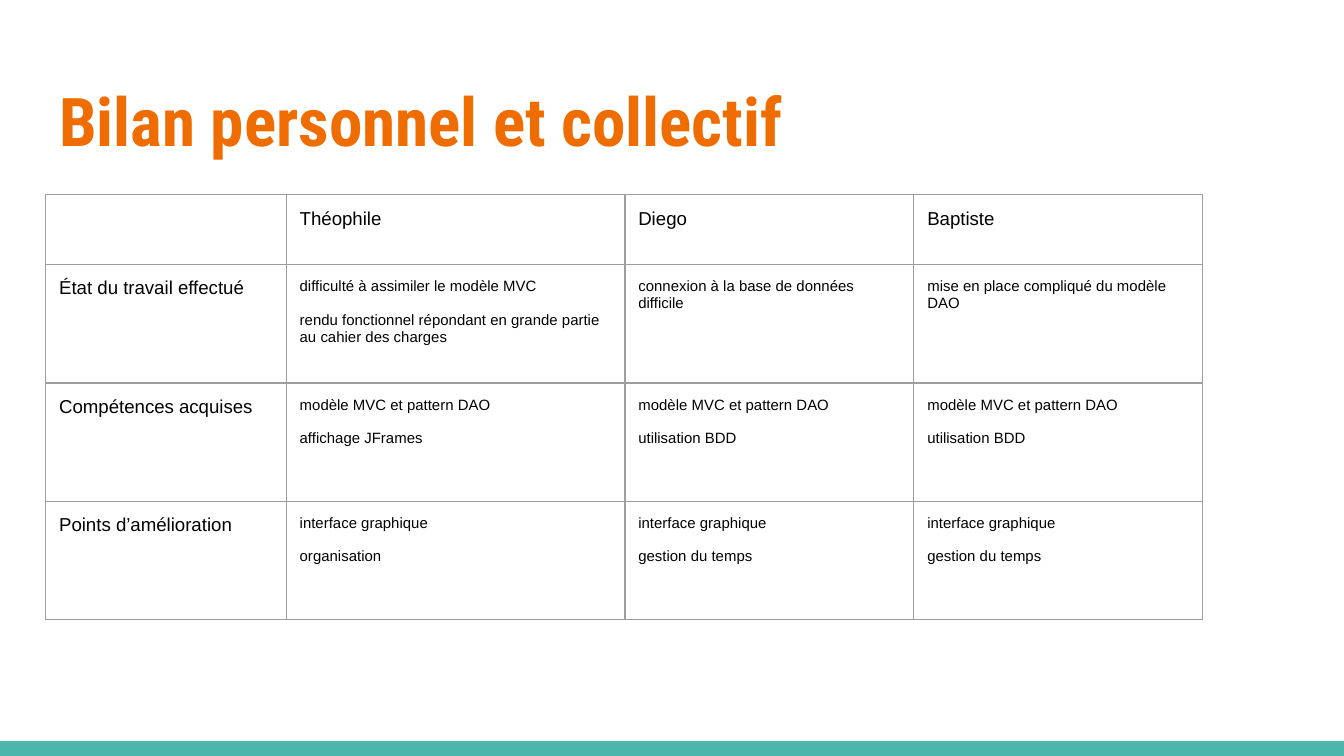
from lxml import etree
from pptx import Presentation
from pptx.dml.color import RGBColor
from pptx.enum.shapes import MSO_SHAPE
from pptx.enum.text import MSO_ANCHOR, PP_ALIGN
from pptx.oxml.ns import qn
from pptx.util import Inches, Pt

RECTANGLE = MSO_SHAPE.RECTANGLE
TOP, LEFT = MSO_ANCHOR.TOP, PP_ALIGN.LEFT
ORANGE = RGBColor(0xEF, 0x6C, 0x00)
TEAL = RGBColor(0x4D, 0xB6, 0xAC)
GREY = RGBColor(0x9E, 0x9E, 0x9E)
BLACK = RGBColor(0, 0, 0)

# Content: each cell is a list of paragraphs
TITLE = "Bilan personnel et collectif"
NAMES = ["Théophile", "Diego", "Baptiste"]
TOPICS = [
    ("État du travail effectué", [
        ["difficulté à assimiler le modèle MVC",
         "rendu fonctionnel répondant en grande partie au cahier des charges"],
        ["connexion à la base de données difficile"],
        ["mise en place compliqué du modèle DAO"],
    ]),
    ("Compétences acquises", [
        ["modèle MVC et pattern DAO", "affichage JFrames"],
        ["modèle MVC et pattern DAO", "utilisation BDD"],
        ["modèle MVC et pattern DAO", "utilisation BDD"],
    ]),
    ("Points d’amélioration", [
        ["interface graphique", "organisation"],
        ["interface graphique", "gestion du temps"],
        ["interface graphique", "gestion du temps"],
    ]),
]
COLUMN_WIDTHS = [1.79, 2.52, 2.15, 2.15]
ROW_HEIGHTS = [0.52] + [0.88] * len(TOPICS)
INSET = Inches(0.1)
SLIDE_WIDTH = Inches(10)
SLIDE_HEIGHT = SLIDE_WIDTH * 9 // 16
BAND_HEIGHT = Inches(0.11)


def set_insets(target):
    target.margin_left = target.margin_right = INSET
    target.margin_top = target.margin_bottom = INSET


def format_font(font, name, size, color, bold=False):
    font.name, font.size, font.bold = name, Pt(size), bold
    font.color.rgb = color


def add_borders(cell):
    properties = cell._tc.get_or_add_tcPr()
    for position, side in enumerate(("a:lnL", "a:lnR", "a:lnT", "a:lnB")):
        line = etree.Element(qn(side), w=str(Pt(0.75)))
        fill = etree.SubElement(line, qn("a:solidFill"))
        etree.SubElement(fill, qn("a:srgbClr"), val=str(GREY))
        properties.insert(position, line)


def fill_cell(cell, lines, size):
    cell.fill.background()
    set_insets(cell)
    cell.vertical_anchor = TOP
    cell.text_frame.text = "\n".join(lines)
    for index, paragraph in enumerate(cell.text_frame.paragraphs):
        paragraph.space_before = Pt(9 if index else 0)
        for run in paragraph.runs:
            format_font(run.font, "Arial", size, BLACK)
    add_borders(cell)


presentation = Presentation()
presentation.slide_width, presentation.slide_height = SLIDE_WIDTH, SLIDE_HEIGHT
slide = presentation.slides.add_slide(presentation.slide_layouts[5])

# Bottom band
band = slide.shapes.add_shape(
    RECTANGLE, 0, SLIDE_HEIGHT - BAND_HEIGHT, SLIDE_WIDTH, BAND_HEIGHT)
band.shadow.inherit = False
band.fill.solid()
band.fill.fore_color.rgb = TEAL
band.line.fill.background()

# Title
title = slide.shapes.title
title.left, title.top = Inches(0.34), Inches(0.49)
title.width, title.height = Inches(9.32), Inches(0.77)
title.text_frame.text = TITLE
title.text_frame.vertical_anchor = TOP
set_insets(title.text_frame)
heading = title.text_frame.paragraphs[0]
heading.alignment = LEFT
format_font(heading.runs[0].font, "Roboto Condensed", 36, ORANGE, True)

# Review table: names across, topics down
rows = [[[]] + [[name] for name in NAMES]]
rows += [[[topic]] + answers for topic, answers in TOPICS]
table = slide.shapes.add_table(
    len(rows), len(COLUMN_WIDTHS), Inches(0.34), Inches(1.45),
    Inches(sum(COLUMN_WIDTHS)), Inches(sum(ROW_HEIGHTS))).table
table.first_row = table.horz_banding = False
for column, width in zip(table.columns, COLUMN_WIDTHS):
    column.width = Inches(width)
for row_index, row in enumerate(rows):
    table.rows[row_index].height = Inches(ROW_HEIGHTS[row_index])
    for column_index, lines in enumerate(row):
        is_answer = row_index > 0 and column_index > 0
        fill_cell(table.cell(row_index, column_index), lines, 8 if is_answer else 10)

presentation.save("out.pptx")
